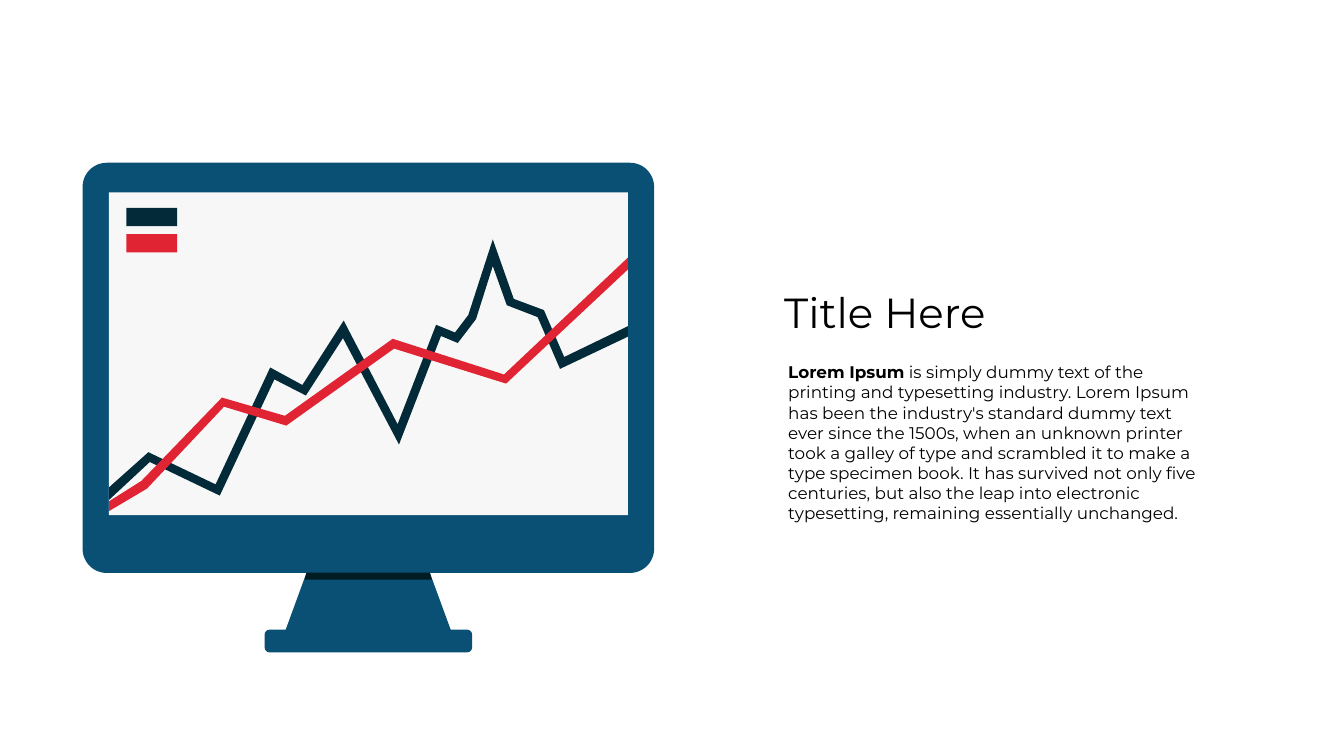
from dataclasses import dataclass

import pptx
import pptx.dml.color
import pptx.enum.shapes
import pptx.enum.text
import pptx.util

Pt = pptx.util.Pt
RGBColor = pptx.dml.color.RGBColor
MSO_SHAPE = pptx.enum.shapes.MSO_SHAPE

BLUE = RGBColor(0x0A, 0x50, 0x75)
SHADE = RGBColor(0x02, 0x1C, 0x23)
LIGHT = RGBColor(0xF7, 0xF7, 0xF7)
NAVY = RGBColor(0x03, 0x2A, 0x38)
RED = RGBColor(0xE0, 0x24, 0x34)
BLACK = RGBColor(0, 0, 0)
FONT = "Montserrat"

SCREEN_LEFT, SCREEN_RIGHT = 155.5, 897
NECK_LEFT, NECK_RIGHT, NECK_TOP = 438.5, 613.5, 818.5
BASE_TOP = 899.5
LEGEND_TOP, LEGEND_STEP = 297, 37.5


@dataclass(frozen=True)
class Box:
    left: float
    top: float
    width: float
    height: float
    color: RGBColor
    radius: float = 0


@dataclass(frozen=True)
class Outline:
    points: tuple[tuple[float, float], ...]
    color: RGBColor


BODY = Box(118, 232.5, 816.5, 586, BLUE, 34.5)
BASE = Box(378, BASE_TOP, 296.5, 32.5, BLUE, 7)
SCREEN = Box(SCREEN_LEFT, 275, SCREEN_RIGHT - SCREEN_LEFT, 461, LIGHT)

NECK = Outline(((NECK_LEFT, NECK_TOP), (NECK_RIGHT, NECK_TOP),
                (644.5, BASE_TOP), (408, BASE_TOP)), BLUE)
NECK_SHADE = Outline(((NECK_LEFT, NECK_TOP), (NECK_RIGHT, NECK_TOP),
                      (617, 828), (435, 828)), SHADE)

# Each trend band runs along its upper edge, then back along its lower edge.
NAVY_TREND = Outline((
    (SCREEN_LEFT, 713.5), (SCREEN_LEFT, 696), (212.5, 646), (308, 692),
    (386.5, 525), (432.5, 549.5), (491, 458.5), (568, 605.5), (623, 464.5),
    (650, 475), (669, 450.5), (703.5, 341.5), (733.5, 427), (777, 443),
    (806.5, 510.5), (SCREEN_RIGHT, 466.5),
    (SCREEN_RIGHT, 481), (800.5, 527), (767.5, 453), (724.5, 436.5),
    (704, 380), (680.5, 456.5), (654, 490.5), (629.5, 480), (570, 635),
    (490.5, 483), (437, 565), (392.5, 542), (314, 708), (214.5, 660)), NAVY)
RED_TREND = Outline((
    (SCREEN_LEFT, 730), (SCREEN_LEFT, 716.5), (202.5, 687), (317, 567.5),
    (407, 594), (561, 484), (720, 535), (SCREEN_RIGHT, 368.5),
    (SCREEN_RIGHT, 385), (723, 548.5), (563, 497.5), (409, 607.5),
    (320.5, 581), (209.5, 697.5)), RED)


def paint(sp, color: RGBColor) -> None:
    sp.fill.solid()
    sp.fill.fore_color.rgb = color
    sp.line.fill.background()
    sp.shadow.inherit = False


def draw_box(shapes, box: Box) -> None:
    kind = MSO_SHAPE.ROUNDED_RECTANGLE if box.radius else MSO_SHAPE.RECTANGLE
    sp = shapes.add_shape(kind, Pt(box.left), Pt(box.top),
                          Pt(box.width), Pt(box.height))
    if box.radius:
        sp.adjustments[0] = box.radius / min(box.width, box.height)
    paint(sp, box.color)


def draw_outline(shapes, outline: Outline) -> None:
    start, *rest = outline.points
    builder = shapes.build_freeform(*start, scale=Pt(1))
    builder.add_line_segments(rest, close=True)
    paint(builder.convert_to_shape(), outline.color)


def draw_monitor(shapes) -> None:
    draw_outline(shapes, NECK)
    draw_box(shapes, BASE)
    draw_box(shapes, BODY)
    draw_outline(shapes, NECK_SHADE)
    draw_box(shapes, SCREEN)
    for i, trend in enumerate((NAVY_TREND, RED_TREND)):
        draw_outline(shapes, trend)
        draw_box(shapes, Box(180.5, LEGEND_TOP + i * LEGEND_STEP,
                             72.5, 26, trend.color))


def add_run(p, text: str, size: float, bold: bool = False) -> None:
    r = p.add_run()
    r.text = text
    r.font.name = FONT
    r.font.size = Pt(size)
    r.font.bold = bold
    r.font.color.rgb = BLACK


def prepare_frame(tf):
    """Wrap from the top left and return the first paragraph."""
    tf.word_wrap = True
    tf.auto_size = pptx.enum.text.MSO_AUTO_SIZE.SHAPE_TO_FIT_TEXT
    tf.vertical_anchor = pptx.enum.text.MSO_ANCHOR.TOP
    p = tf.paragraphs[0]
    p.alignment = pptx.enum.text.PP_ALIGN.LEFT
    return p


def main() -> None:
    prs = pptx.Presentation()
    prs.slide_width, prs.slide_height = Pt(1920), Pt(1080)
    s = prs.slides.add_slide(prs.slide_layouts[5])

    title = s.shapes.title
    title.left, title.top = Pt(1113), Pt(406)
    title.width, title.height = Pt(576), Pt(80)
    add_run(prepare_frame(title.text_frame), "Title Here", 60)

    body = s.shapes.add_textbox(Pt(1119), Pt(513.5), Pt(604), Pt(240))
    p = prepare_frame(body.text_frame)
    add_run(p, "Lorem Ipsum", 24, bold=True)
    add_run(p, " is simply dummy text of the printing and typesetting "
               "industry. Lorem Ipsum has been the industry's standard dummy "
               "text ever since the 1500s, when an unknown printer took a "
               "galley of type and scrambled it to make a type specimen book. "
               "It has survived not only five centuries, but also the leap "
               "into electronic typesetting, remaining essentially unchanged.",
            24)

    draw_monitor(s.shapes.add_group_shape().shapes)
    prs.save("out.pptx")


if __name__ == "__main__":
    main()
